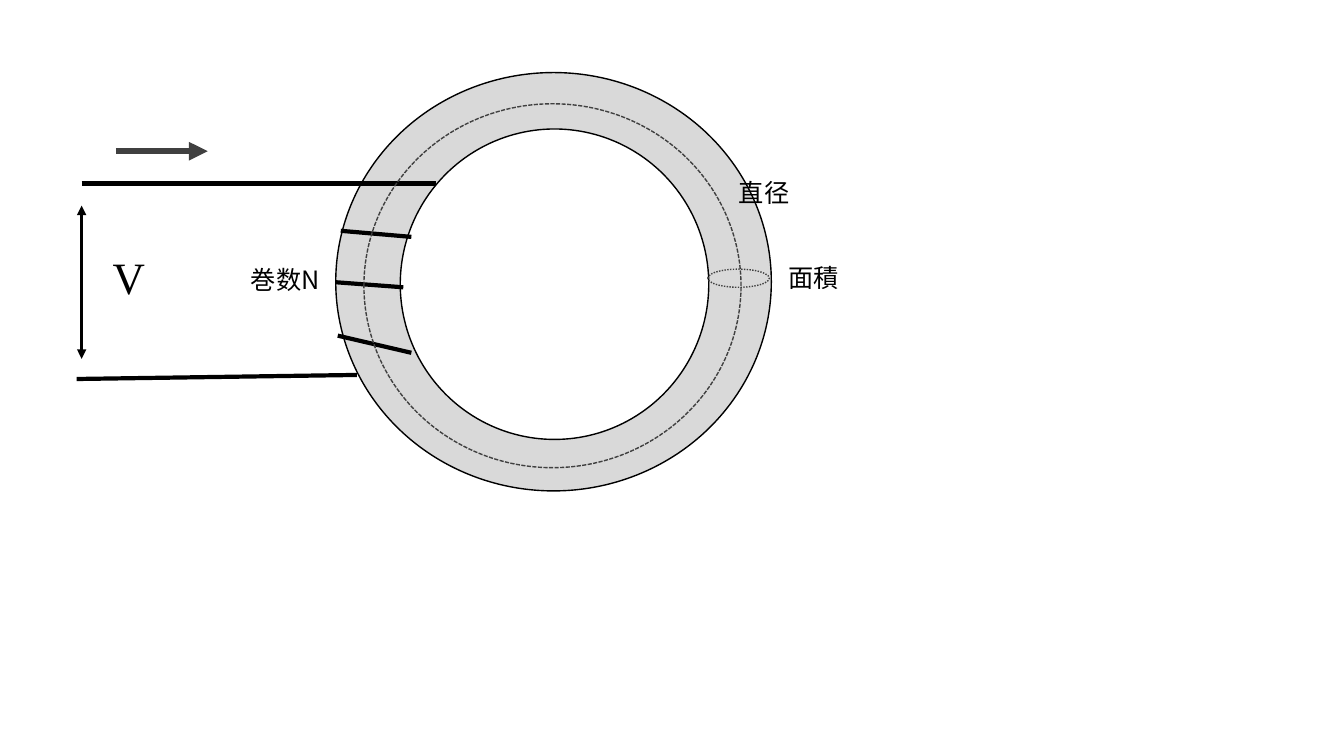
from lxml import etree
from pptx import Presentation
from pptx.dml.color import RGBColor
from pptx.enum.dml import MSO_LINE
from pptx.enum.shapes import MSO_CONNECTOR, MSO_SHAPE
from pptx.enum.text import MSO_AUTO_SIZE
from pptx.oxml.ns import qn
from pptx.util import Inches, Pt

BLACK = RGBColor(0x00, 0x00, 0x00)
WHITE = RGBColor(0xFF, 0xFF, 0xFF)
CORE_GRAY = RGBColor(0xD9, 0xD9, 0xD9)
DARK_GRAY = RGBColor(0x40, 0x40, 0x40)

OVAL = MSO_SHAPE.OVAL
STRAIGHT = MSO_CONNECTOR.STRAIGHT
DASH = MSO_LINE.SQUARE_DOT  # sysDash
DOT = MSO_LINE.ROUND_DOT  # sysDot
GROW = MSO_AUTO_SIZE.SHAPE_TO_FIT_TEXT


class Diagram:
    """Holds the current slide and the fonts used on it."""

    label_font = "Noto Sans CJK JP"
    symbol_font = "Times New Roman"

    def __init__(self, page):
        self.page = page

    def ellipse(self, left, top, width, height, fill=None, color=BLACK, dash=None):
        shape = self.page.shapes.add_shape(
            OVAL, Inches(left), Inches(top), Inches(width), Inches(height))
        shape.shadow.inherit = False
        if fill is None:
            shape.fill.background()
        else:
            shape.fill.solid()
            shape.fill.fore_color.rgb = fill
        shape.line.color.rgb = color
        shape.line.width = Pt(1)
        if dash is not None:
            shape.line.dash_style = dash

    def line(self, start, end, width=3, color=BLACK, arrows=()):
        """Draw a line; arrows names the ends that get one: headEnd, tailEnd."""
        connector = self.page.shapes.add_connector(
            STRAIGHT, *(Inches(value) for value in (*start, *end)))
        connector.line.color.rgb = color
        connector.line.width = Pt(width)
        outline = connector.line._get_or_add_ln()
        for arrow in arrows:
            etree.SubElement(outline, qn(f"a:{arrow}"), type="triangle")
        etree.SubElement(connector._element.spPr, qn("a:effectLst"))

    def label(self, text, left, top, width, height=0.4, size=18,
              font=label_font, wrap=False):
        box = self.page.shapes.add_textbox(
            Inches(left), Inches(top), Inches(width), Inches(height))
        frame = box.text_frame
        frame.word_wrap = wrap
        frame.auto_size = GROW
        para = frame.paragraphs[0]
        para.text = text
        para.font.size = Pt(size)
        para.font.name = font
        para.font.color.rgb = BLACK
        defaults = para._p.pPr.find(qn("a:defRPr"))
        etree.SubElement(defaults, qn("a:ea"), typeface=font)


def main():
    deck = Presentation()
    deck.slide_width, deck.slide_height = Inches(13.33), Inches(7.5)
    diagram = Diagram(deck.slides.add_slide(deck.slide_layouts[6]))

    # Toroidal core and its leads
    diagram.ellipse(3.33, 0.72, 4.32, 4.15, fill=CORE_GRAY)
    diagram.line((0.81, 1.82), (4.32, 1.82))
    diagram.line((0.76, 3.76), (3.54, 3.72))

    # Voltage across the leads
    diagram.label("V", 1.02, 2.43, 1.34, 0.64, size=32,
                  font=diagram.symbol_font, wrap=True)
    diagram.line((0.81, 2.04), (0.81, 3.56), width=2.25,
                 arrows=("headEnd", "tailEnd"))

    # Core opening and windings
    diagram.ellipse(3.97, 1.28, 3.06, 3.08, fill=WHITE)
    for start, end in (
        ((3.38, 2.29), (4.08, 2.35)),
        ((3.33, 2.8), (4, 2.85)),
        ((3.35, 3.33), (4.08, 3.5)),
    ):
        diagram.line(start, end)

    # Mean diameter and cross-section
    diagram.ellipse(3.61, 1.03, 3.74, 3.61, color=DARK_GRAY, dash=DASH)
    diagram.ellipse(7.02, 2.67, 0.61, 0.18, color=DARK_GRAY, dash=DOT)
    diagram.label("面積", 7.72, 2.55, 0.71)
    diagram.label("直径", 7.23, 1.71, 0.71)

    # Current direction and number of turns
    diagram.line((1.15, 1.5), (2.06, 1.5), width=4.5, color=DARK_GRAY,
                 arrows=("tailEnd",))
    diagram.label("巻数N", 2.39, 2.57, 0.9, wrap=True)

    deck.save("out.pptx")


if __name__ == "__main__":
    main()
